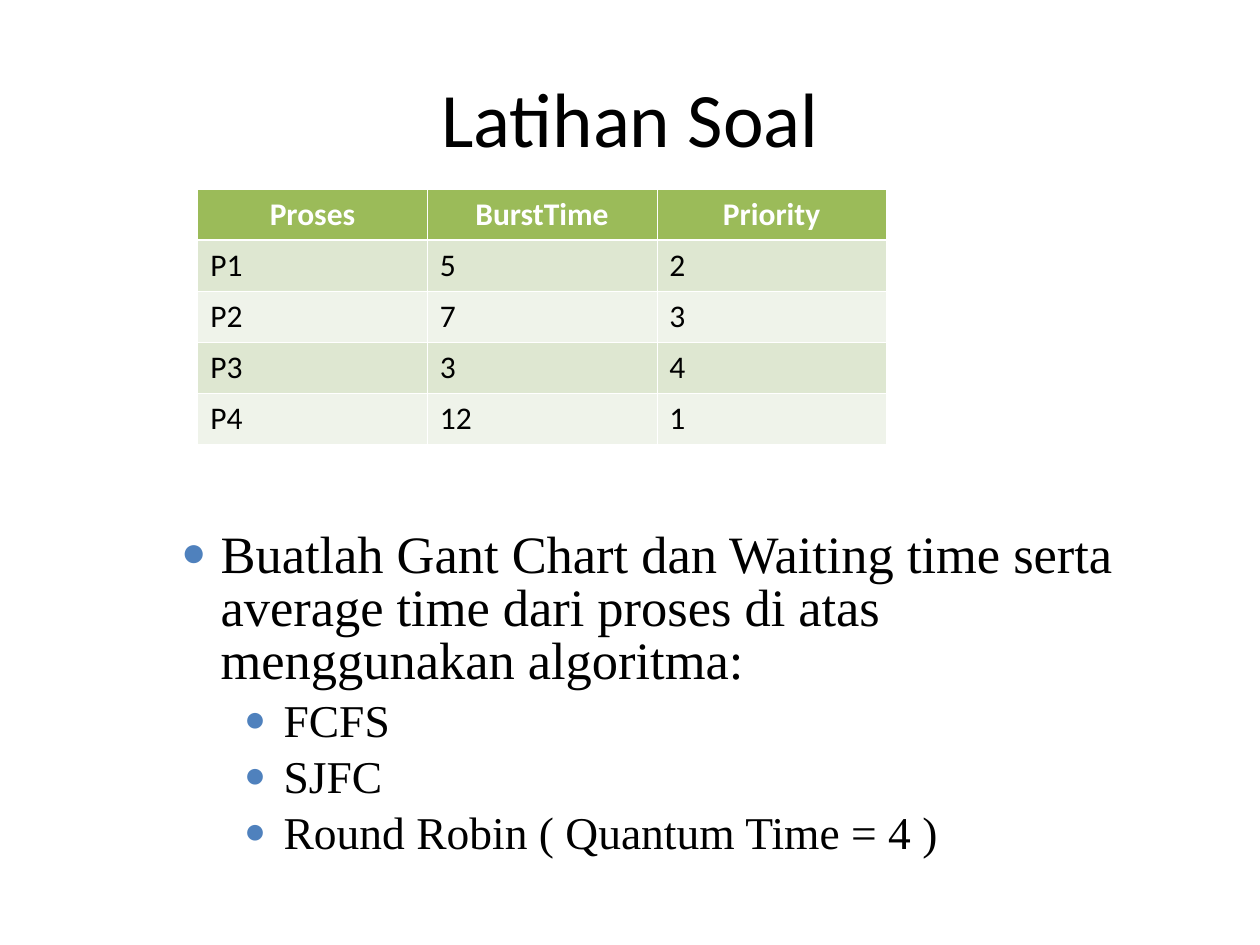
from dataclasses import dataclass

from lxml.etree import SubElement
from pptx import Presentation
from pptx.dml.color import RGBColor
from pptx.enum.text import MSO_ANCHOR as Anchor, PP_ALIGN as Align
from pptx.oxml.ns import qn
from pptx.util import Pt


@dataclass(frozen=True)
class Theme:
    black: str = "000000"
    white: str = "FFFFFF"
    header: str = "9BBB59"
    bands: tuple = ("DEE7D1", "EFF3EA")
    bullet: str = "4F81BD"
    sans: str = "Calibri"
    serif: str = "Times New Roman"
    title_size: int = 44
    table_size: int = 18
    body_sizes: tuple = (30, 26)
    thin: float = 0.45
    thick: float = 1.47


THEME = Theme()
PROCESSES = [
    ("Proses", "BurstTime", "Priority"),
    ("P1", "5", "2"),
    ("P2", "7", "3"),
    ("P3", "3", "4"),
    ("P4", "12", "1"),
]
TASKS = [
    (0, "Buatlah Gant Chart dan Waiting time serta average time dari proses "
        "di atas menggunakan algoritma:"),
    (1, "FCFS"),
    (1, "SJFC"),
    (1, "Round Robin ( Quantum Time = 4 )"),
]


def write_text(paragraph, text, size, font, color=THEME.black, bold=False, align=Align.LEFT):
    paragraph.alignment = align
    run = paragraph.add_run()
    run.text = text
    run.font.size = Pt(size)
    run.font.name = font
    run.font.bold = bold
    run.font.color.rgb = RGBColor.from_string(color)


def add_text_frame(slide, box, anchor):
    frame = slide.shapes.add_textbox(*map(Pt, box)).text_frame
    frame.word_wrap = True
    frame.vertical_anchor = anchor
    return frame


def add_border(cell, side, width):
    properties = cell._tc.get_or_add_tcPr()
    line = SubElement(properties, qn(f"a:{side}"), w=str(Pt(width)))
    fill = SubElement(line, qn("a:solidFill"))
    SubElement(fill, qn("a:srgbClr"), val=THEME.white)


def add_bullet(paragraph, level):
    properties = paragraph._p.get_or_add_pPr()
    properties.set("marL", str(Pt(29 + 36 * level)))
    properties.set("indent", str(Pt(-22.5)))
    color = SubElement(properties, qn("a:buClr"))
    SubElement(color, qn("a:srgbClr"), val=THEME.bullet)
    SubElement(properties, qn("a:buSzPct"), val="80000")
    SubElement(properties, qn("a:buFont"), typeface=THEME.serif)
    SubElement(properties, qn("a:buChar"), char="●")


def add_title(slide, box):
    frame = add_text_frame(slide, box, Anchor.MIDDLE)
    write_text(frame.paragraphs[0], "Latihan Soal", THEME.title_size, THEME.sans,
               align=Align.CENTER)


def add_process_table(slide, box):
    shape = slide.shapes.add_table(len(PROCESSES), len(PROCESSES[0]), *map(Pt, box))
    for row, values in enumerate(PROCESSES):
        is_header = row == 0
        for column, value in enumerate(values):
            cell = shape.table.cell(row, column)
            write_text(cell.text_frame.paragraphs[0], value, THEME.table_size, THEME.sans,
                       color=THEME.white if is_header else THEME.black, bold=is_header,
                       align=Align.CENTER if is_header else Align.LEFT)
            add_border(cell, "lnL", THEME.thin)
            add_border(cell, "lnR", THEME.thin)
            add_border(cell, "lnT", THEME.thick if row == 1 else THEME.thin)
            add_border(cell, "lnB", THEME.thick if is_header else THEME.thin)
            cell.fill.solid()
            color = THEME.header if is_header else THEME.bands[(row - 1) % 2]
            cell.fill.fore_color.rgb = RGBColor.from_string(color)


def add_task_list(slide, box):
    frame = add_text_frame(slide, box, Anchor.TOP)
    for index, (level, text) in enumerate(TASKS):
        paragraph = frame.add_paragraph() if index else frame.paragraphs[0]
        paragraph.level = level
        paragraph.line_spacing = 0.84
        paragraph.space_before = Pt(6)
        add_bullet(paragraph, level)
        write_text(paragraph, text, THEME.body_sizes[level], THEME.serif)


def main():
    presentation = Presentation()
    presentation.slide_width, presentation.slide_height = Pt(720), Pt(540)
    slide = presentation.slides.add_slide(presentation.slide_layouts[6])
    add_title(slide, (36, 21.6, 648, 90))
    add_process_table(slide, (113, 108, 393.6, 146))
    add_task_list(slide, (90, 300, 590.4, 192))
    presentation.save("out.pptx")


if __name__ == "__main__":
    main()
